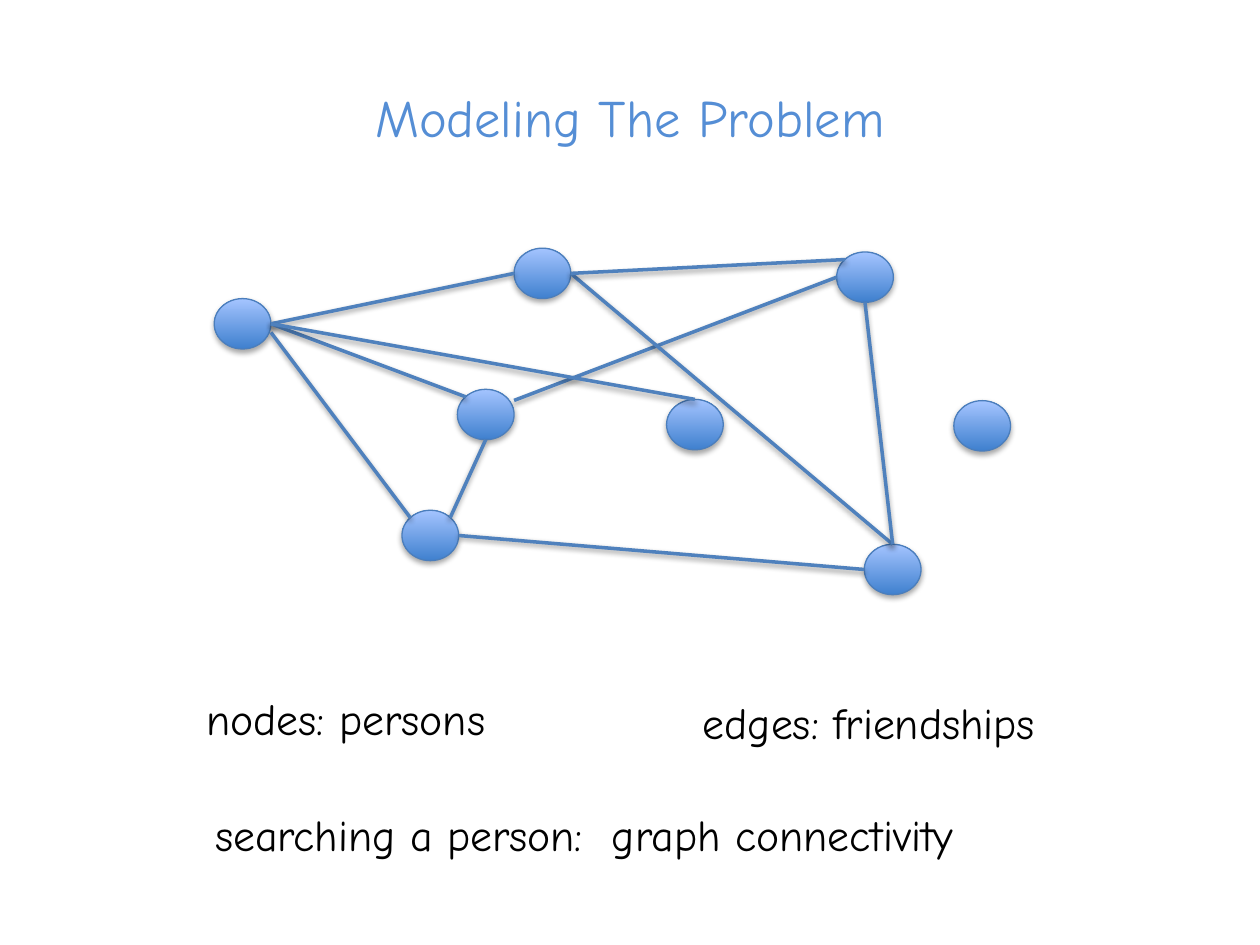
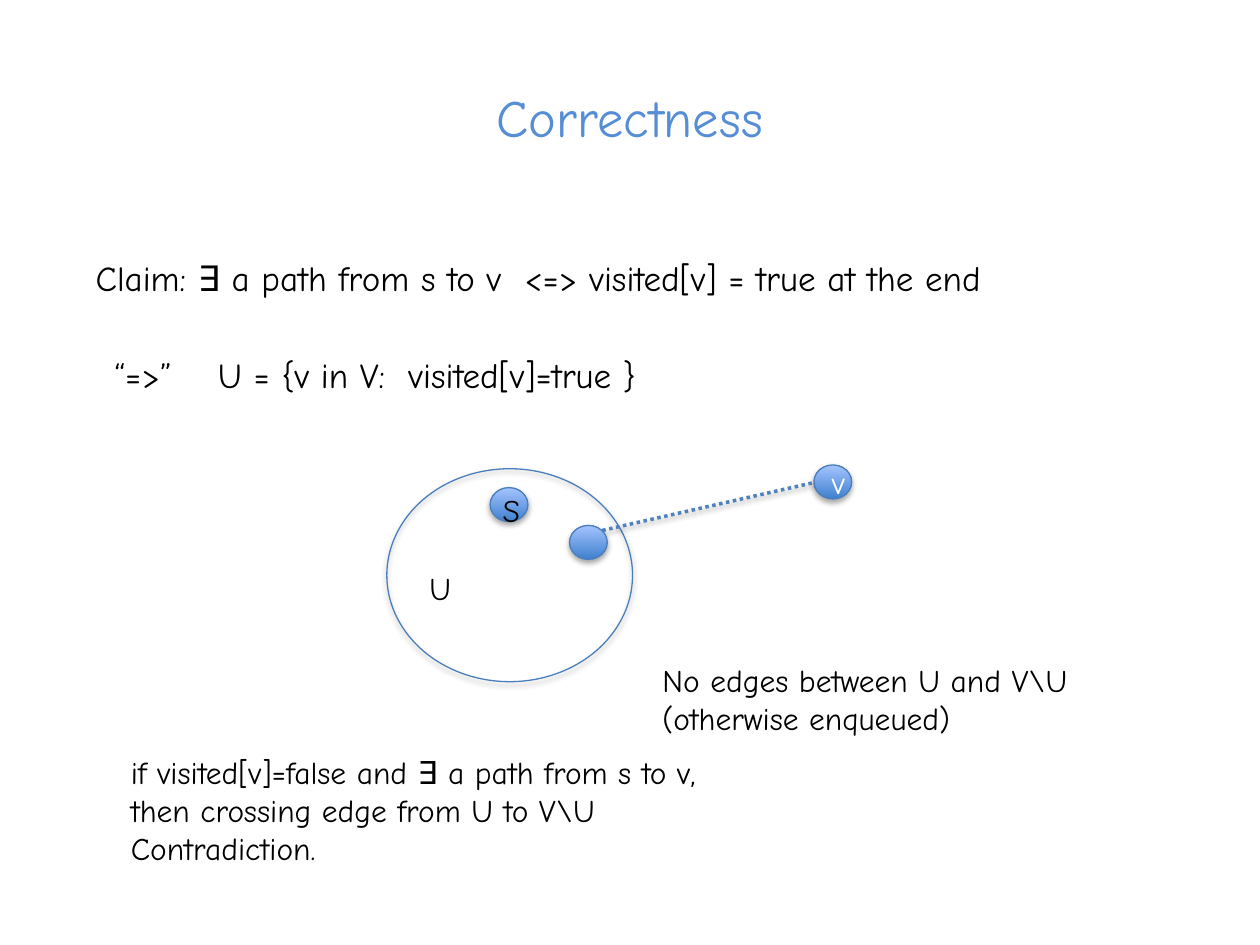
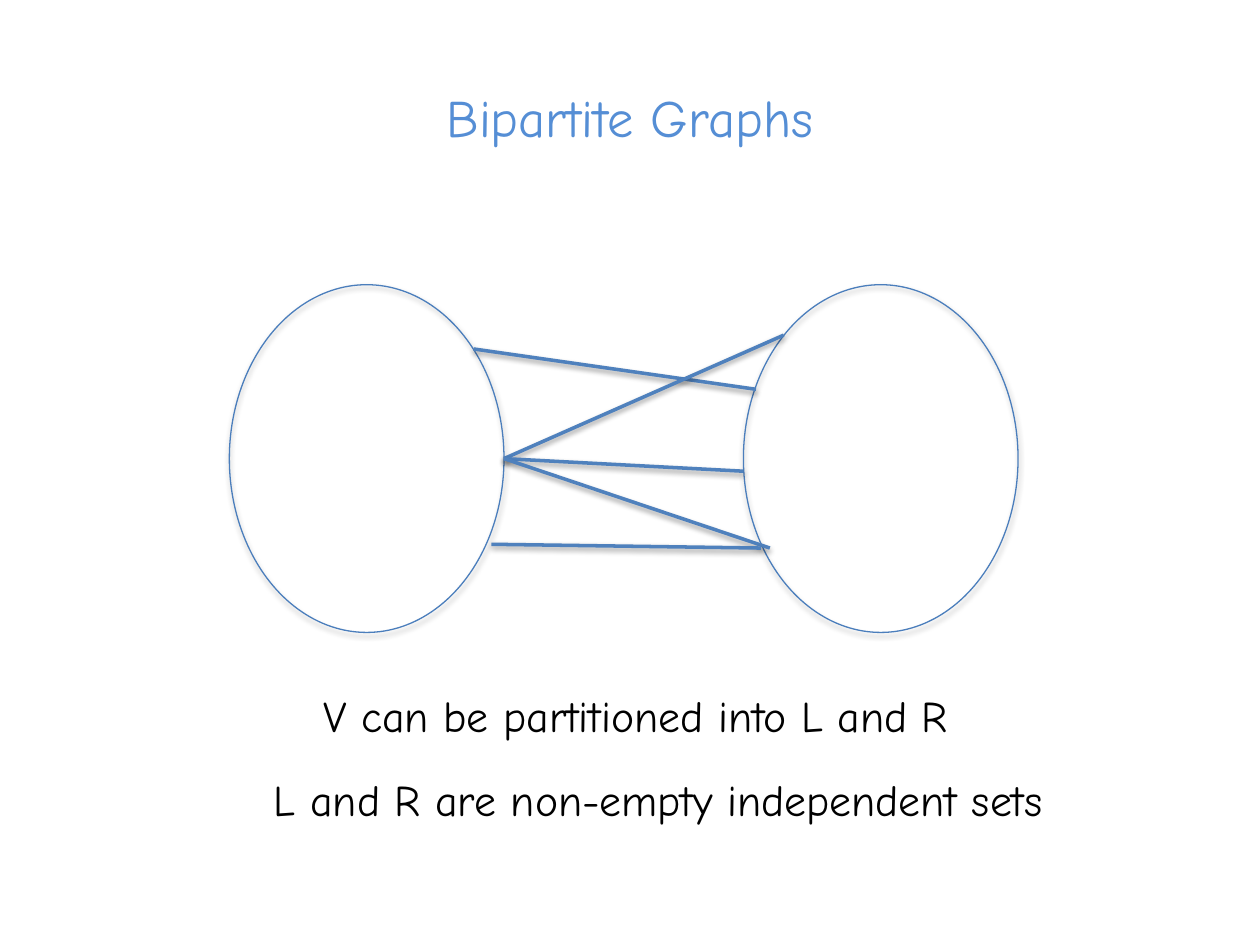
import lxml.etree
import pptx
import pptx.dml.color
import pptx.enum.dml
import pptx.enum.shapes
import pptx.enum.text
import pptx.oxml.ns
import pptx.util

Inches = pptx.util.Inches
Pt = pptx.util.Pt
qn = pptx.oxml.ns.qn
ALIGN = pptx.enum.text.PP_ALIGN
ANCHOR = pptx.enum.text.MSO_ANCHOR

FONT = "Comic Neue"
COLORS = {
    "title": "558ED5",
    "text": "000000",
    "node_text": "FFFFFF",
    "node_bottom": "3F80CE",
    "node_top": "A4C4FF",
    "outline": "4B7EBC",
    "edge": "4F81BD",
    "shadow": "000000",
}
# Points of a node as fractions of its width and height
SITES = {
    "top": (0.5, 0),
    "left": (0, 0.5),
    "right": (1, 0.5),
    "bottom": (0.5, 1),
    "top left": (0.15, 0.15),
    "top right": (0.85, 0.15),
    "upper right": (1, 0.22),
    "lower right": (1, 0.67),
}


def rgb(name):
    return pptx.dml.color.RGBColor.from_string(COLORS[name])


def add_shadow(effect_list, distance, opacity):
    shadow = lxml.etree.SubElement(
        effect_list, qn("a:outerShdw"), blurRad=str(Pt(3.15)),
        dist=str(Pt(distance)), dir="5400000", rotWithShape="0")
    color = lxml.etree.SubElement(shadow, qn("a:srgbClr"), val=COLORS["shadow"])
    lxml.etree.SubElement(color, qn("a:alpha"), val=str(opacity * 1000))


def style_paragraph(paragraph, size, color="text", align=ALIGN.LEFT):
    paragraph.alignment = align
    paragraph.font.name = FONT
    paragraph.font.size = Pt(size)
    paragraph.font.color.rgb = rgb(color)


def add_text(slide, box, lines, size, color="text", align=ALIGN.LEFT,
             anchor=ANCHOR.TOP, tab=None):
    shape = slide.shapes.add_textbox(*map(Inches, box))
    frame = shape.text_frame
    frame.word_wrap = True
    frame.vertical_anchor = anchor
    frame.text = "\n".join(lines)
    for paragraph in frame.paragraphs:
        if tab:
            properties = paragraph._p.get_or_add_pPr()
            tabs = lxml.etree.SubElement(properties, qn("a:tabLst"))
            lxml.etree.SubElement(tabs, qn("a:tab"), pos=str(Inches(tab)), algn="l")
        style_paragraph(paragraph, size, color, align)


def add_ellipse(slide, box):
    """Add an unfilled ellipse with the shared outline and shadow."""
    shape = slide.shapes.add_shape(
        pptx.enum.shapes.MSO_SHAPE.OVAL, *map(Inches, box))
    shape.fill.background()
    shape.line.color.rgb = rgb("outline")
    shape.line.width = Pt(0.75)
    shape.shadow.inherit = False
    add_shadow(shape._element.spPr.find(qn("a:effectLst")), 1.8, 35)
    return shape


def add_node(slide, box, label=None):
    shape = add_ellipse(slide, box)
    shape.fill.gradient()
    shape.fill.gradient_angle = 90
    for stop, name in zip(shape.fill.gradient_stops, ("node_bottom", "node_top")):
        stop.color.rgb = rgb(name)
    if label:
        shape.text_frame.text = label
        style_paragraph(shape.text_frame.paragraphs[0], 18, "node_text", ALIGN.CENTER)


def add_edge(slide, start, end, dotted=False):
    edge = slide.shapes.add_connector(
        pptx.enum.shapes.MSO_CONNECTOR.STRAIGHT, *map(Inches, (*start, *end)))
    edge.line.color.rgb = rgb("edge")
    edge.line.width = Pt(2)
    if dotted:
        edge.line.dash_style = pptx.enum.dml.MSO_LINE.ROUND_DOT
    effects = lxml.etree.SubElement(edge._element.spPr, qn("a:effectLst"))
    add_shadow(effects, 1.6, 38)


def add_titled_slide(presentation, title):
    slide = presentation.slides.add_slide(presentation.slide_layouts[6])
    add_text(slide, (0.5, 0.62, 9, 0.61), [title], 30, "title",
             ALIGN.CENTER, ANCHOR.MIDDLE)
    return slide


def draw_friend_graph(slide, left, top):
    width, height = 0.45, 0.4
    nodes = {
        "a": (0, 0.4), "b": (2.38, 0), "c": (1.49, 2.08), "d": (4.94, 0.03),
        "e": (5.16, 2.35), "f": (3.59, 1.2), "g": (1.93, 1.12), "h": (5.87, 1.21),
    }
    edges = [
        ("a", "right", "b", "left"),
        ("g", "upper right", "d", "left"),
        ("c", "right", "e", "left"),
        ("a", "lower right", "c", "top left"),
        ("a", "right", "g", "top left"),
        ("a", "right", "f", "top"),
        ("c", "top right", "g", "bottom"),
        ("e", "top", "b", "right"),
        ("d", "top left", "b", "right"),
        ("d", "bottom", "e", "top"),
    ]

    def site(node, name):
        x, y = nodes[node]
        across, down = SITES[name]
        return left + x + across * width, top + y + down * height

    for x, y in nodes.values():
        add_node(slide, (left + x, top + y, width, height))
    for start, start_site, end, end_site in edges:
        add_edge(slide, site(start, start_site), site(end, end_site))


def draw_visited_set(slide, left, top):
    """Draw the set U with s inside, and v joined by a dotted edge."""
    node_size = (0.3, 0.27)
    add_ellipse(slide, (left, top, 1.95, 1.69))
    add_text(slide, (left + 0.24, top + 0.75, 0.39, 0.4), ["U"], 18)
    add_node(slide, (left + 0.82, top + 0.15, *node_size))
    add_text(slide, (left + 0.82, top + 0.13, 0.38, 0.4), ["S"], 18)
    add_node(slide, (left + 3.39, top - 0.03, *node_size), "v")
    add_edge(slide, (left + 1.71, top + 0.49), (left + 3.39, top + 0.11), dotted=True)
    add_node(slide, (left + 1.45, top + 0.45, *node_size))


def draw_bipartite_graph(slide, left, top):
    for x in (0, 4.08):
        add_ellipse(slide, (left + x, top, 2.18, 2.76))
    middle = (2.18, 1.38)
    edges = [
        ((1.94, 0.51), (4.18, 0.83)),
        (middle, (4.4, 0.4)),
        (middle, (4.08, 1.48)),
        (middle, (4.29, 2.09)),
        ((2.08, 2.06), (4.22, 2.09)),
    ]
    for edge in edges:
        add_edge(slide, *((left + x, top + y) for x, y in edge))


def build_modeling(presentation):
    slide = add_titled_slide(presentation, "Modeling The Problem")
    draw_friend_graph(slide, 1.7, 1.97)
    add_text(slide, (1.54, 5.44, 2.76, 0.52), ["nodes: persons"], 25)
    add_text(slide, (5.48, 5.47, 3.65, 0.52), ["edges: friendships"], 25)
    add_text(slide, (1.61, 6.36, 7.08, 0.52),
             ["searching a person:  graph connectivity"], 25)


def build_correctness(presentation):
    slide = add_titled_slide(presentation, "Correctness")
    add_text(slide, (0.66, 1.99, 8.69, 0.44),
             ["Claim: ∃ a path from s to v  <=> visited[v] = true at the end"], 20)
    add_text(slide, (0.81, 2.76, 8.69, 0.44),
             ["“=>”\tU = {v in V:  visited[v]=true }"], 20, tab=0.82)
    draw_visited_set(slide, 3.07, 3.72)
    add_text(slide, (5.16, 5.2, 3.67, 0.71),
             ["No edges between U and V\\U", "(otherwise enqueued)"], 18)
    add_text(slide, (0.94, 5.93, 7.47, 1.01),
             ["if visited[v]=false and ∃ a path from s to v,",
              "then crossing edge from U to V\\U",
              "Contradiction."], 18)


def build_bipartite(presentation):
    slide = add_titled_slide(presentation, "Bipartite Graphs")
    draw_bipartite_graph(slide, 1.82, 2.26)
    add_text(slide, (0.83, 5.42, 8.43, 0.52),
             ["V can be partitioned into L and R"], 25, align=ALIGN.CENTER)
    add_text(slide, (1.01, 6.08, 8.43, 0.52),
             ["L and R are non-empty independent sets"], 25, align=ALIGN.CENTER)


def main():
    presentation = pptx.Presentation()
    presentation.slide_width = Inches(10)
    presentation.slide_height = Inches(7.5)
    build_modeling(presentation)
    build_correctness(presentation)
    build_bipartite(presentation)
    presentation.save("out.pptx")


if __name__ == "__main__":
    main()
